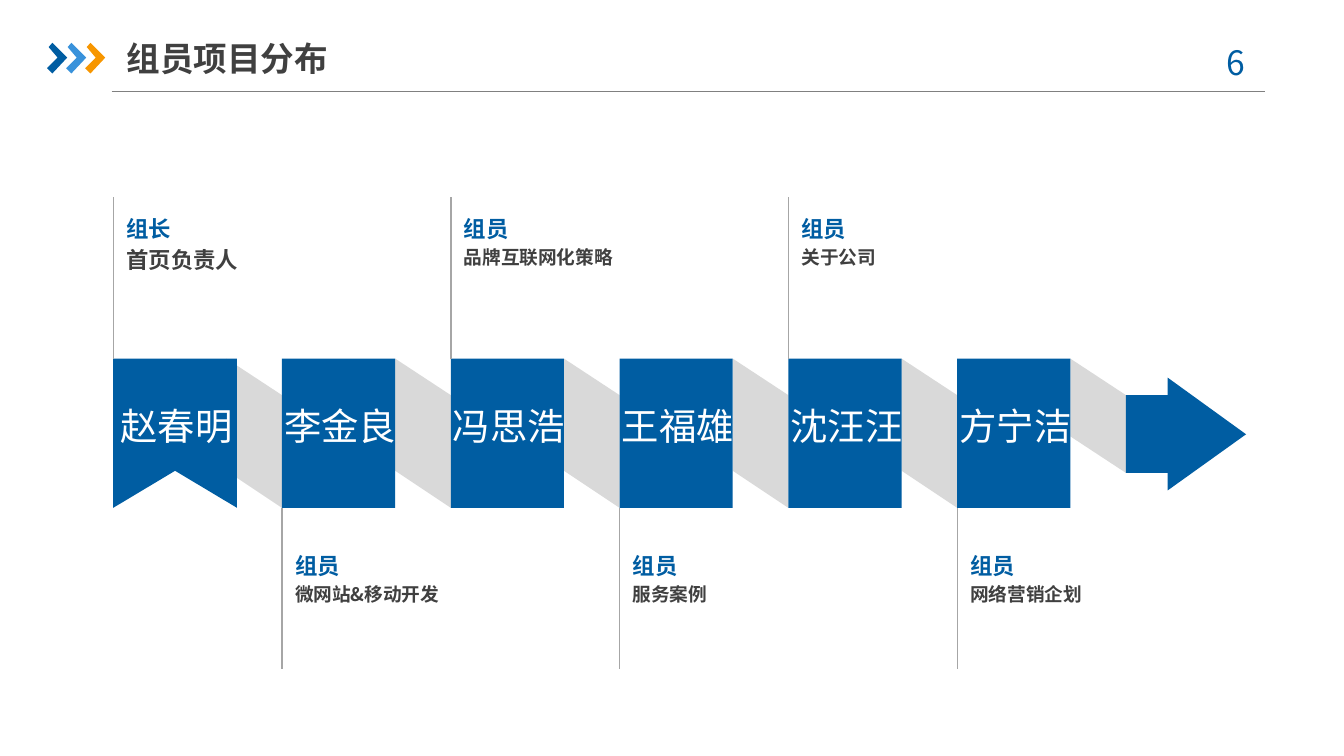
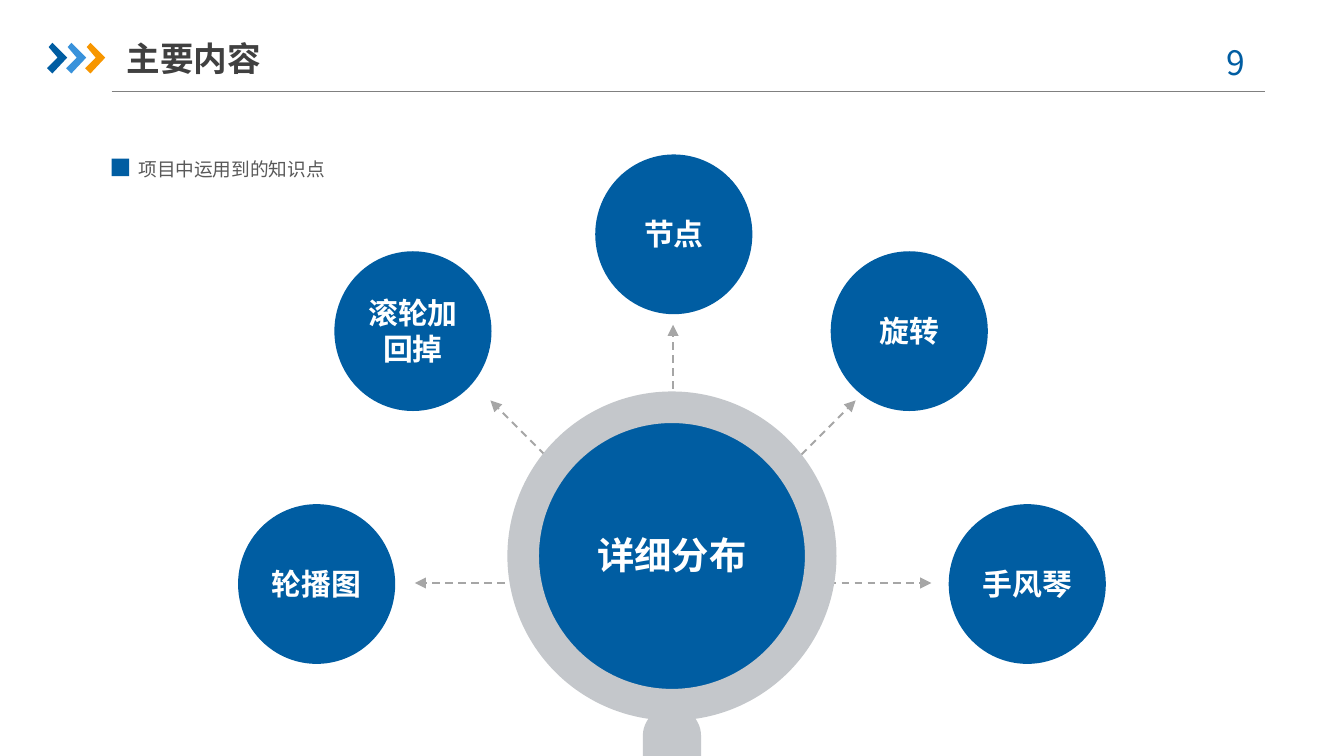
from math import cos, radians, sin

from lxml import etree
from pptx import Presentation
from pptx import util as u
from pptx.dml.color import RGBColor
from pptx.enum import dml, shapes, text
from pptx.oxml.ns import qn

Cm, Pt = u.Cm, u.Pt
SHAPE = shapes.MSO_SHAPE
ALIGN = text.PP_ALIGN
TOP, MIDDLE = text.MSO_ANCHOR.TOP, text.MSO_ANCHOR.MIDDLE

BLUE = RGBColor(0x00, 0x5D, 0xA2)
SKY = RGBColor(0x39, 0x92, 0xDB)
ORANGE = RGBColor(0xF7, 0x96, 0x00)
WHITE = RGBColor(0xFF, 0xFF, 0xFF)
INK = RGBColor(0x40, 0x40, 0x40)
BODY = RGBColor(0x59, 0x59, 0x59)
RULE = RGBColor(0x80, 0x80, 0x80)
LINE = RGBColor(0xA6, 0xA6, 0xA6)
FOLD = RGBColor(0xD9, 0xD9, 0xD9)
RING = RGBColor(0xC4, 0xC7, 0xCB)

FONT = "Noto Sans CJK SC"
TITLE = dict(size=Pt(18), bold=True, color=INK)
PAGE_NO = dict(size=Pt(18), color=BLUE)
MEMBER = dict(size=Pt(20), color=WHITE)
ROLE = dict(size=Pt(12), bold=True, color=BLUE)
TASK = dict(size=Pt(10), bold=True, color=INK)
LEAD_TASK = dict(TASK, size=Pt(12))
HUB = dict(size=Pt(20), bold=True, color=WHITE)
TOPIC = dict(size=Pt(16), bold=True, color=WHITE)
CAPTION = dict(size=Pt(10), color=BODY)

PAD = (0.25, 0.13)
CHEVRON = [(0.03, 0.08), (0.1, 0), (0.38, 0.28), (0.1, 0.58), (0, 0.48), (0.2, 0.28)]

CARD_W, CARD_H, PITCH = 2.14, 2.82, 3.19
RIBBON_W = 2.34
RIBBON = [(0, 0), (RIBBON_W, 0), (RIBBON_W, CARD_H), (RIBBON_W / 2, 2.12), (0, CARD_H)]
GAP = PITCH - CARD_W
BAND = [(0, 0), (GAP, 0.69), (GAP, CARD_H), (0, 2.12)]
LAST_BAND = [(0, 0), (GAP, 0.69), (GAP, 2.16), (0, 1.47)]
ARROW = [(0, 0.33), (0.79, 0.33), (0.79, 0), (2.27, 1.07),
         (0.79, 2.13), (0.79, 1.8), (0, 1.8)]

TEAM = [
    ("赵春明", "组长", "首页负责人", LEAD_TASK),
    ("李金良", "组员", "微网站&移动开发", TASK),
    ("冯思浩", "组员", "品牌互联网化策略", TASK),
    ("王福雄", "组员", "服务案例", TASK),
    ("沈汪汪", "组员", "关于公司", TASK),
    ("方宁洁", "组员", "网络营销企划", TASK),
]
TOPICS = [
    ("轮播图", 4.5, 9.53),
    ("滚轮加回掉", 6.32, 4.75),
    ("节点", 11.25, 2.92),
    ("旋转", 15.7, 4.75),
    ("手风琴", 17.93, 9.53),
]


def paint(sp, color):
    sp.shadow.inherit = False
    sp.fill.solid()
    sp.fill.fore_color.rgb = color
    sp.line.fill.background()
    return sp


def add_preset(s, kind, x, y, w, h, color):
    return paint(s.shapes.add_shape(kind, Cm(x), Cm(y), Cm(w), Cm(h)), color)


def add_outline(s, x, y, points, color):
    """Draw a closed polygon whose points are relative to (x, y)."""
    pts = [(Cm(x + px), Cm(y + py)) for px, py in points]
    fb = s.shapes.build_freeform(*pts[0], scale=1.0)
    fb.add_line_segments(pts[1:], close=True)
    return paint(fb.convert_to_shape(), color)


def add_text(s, x, y, w, h, lines, pad=PAD, anchor=TOP, **para):
    """Add a text box; lines holds (wording, font format) pairs."""
    sp = s.shapes.add_textbox(Cm(x), Cm(y), Cm(w), Cm(h))
    tf = sp.text_frame
    frame = dict(word_wrap=True, vertical_anchor=anchor,
                 margin_left=Cm(pad[0]), margin_right=Cm(pad[0]),
                 margin_top=Cm(pad[1]), margin_bottom=Cm(pad[1]))
    for key, value in frame.items():
        setattr(tf, key, value)
    for i, (wording, fmt) in enumerate(lines):
        p = tf.add_paragraph() if i else tf.paragraphs[0]
        for key, value in para.items():
            setattr(p, key, value)
        r = p.add_run()
        r.text = wording
        for key, value in fmt.items():
            if key == "color":
                r.font.color.rgb = value
            else:
                setattr(r.font, key, value)
        r.font.name = FONT
        etree.SubElement(r.font._element, qn("a:ea"), typeface=FONT)
    return sp


def add_line(s, x1, y1, x2, y2, color, width=0.75, arrow=False):
    c = s.shapes.add_connector(shapes.MSO_CONNECTOR.STRAIGHT,
                               Cm(x1), Cm(y1), Cm(x2), Cm(y2))
    c.line.color.rgb = color
    c.line.width = Pt(width)
    if arrow:
        c.line.dash_style = dml.MSO_LINE.DASH
        etree.SubElement(c.line._get_or_add_ln(), qn("a:tailEnd"), type="triangle")
    etree.SubElement(c._element.spPr, qn("a:effectLst"))


def add_header(s, title, number):
    add_line(s, 2.11, 1.73, 23.9, 1.73, RULE)
    for i, color in enumerate((BLUE, SKY, ORANGE)):
        add_outline(s, 0.89 + 0.36 * i, 0.81, CHEVRON, color)
    # The trailing space shifts the centred number slightly left
    add_text(s, 22.5, 0.66, 1.85, 1.02, [(f"{number} ", PAGE_NO)], alignment=ALIGN.CENTER)
    add_text(s, 2.39, 0.56, 5.92, 1.07, [(title, TITLE)], pad=(0, 0.13), anchor=MIDDLE)


def add_member(s, x, y, i, name):
    """Draw one name card; the first is a notched ribbon."""
    if i:
        add_preset(s, SHAPE.RECTANGLE, x, y, CARD_W, CARD_H, BLUE)
    else:
        add_outline(s, x, y, RIBBON, BLUE)
    card_w, text_w = (CARD_W, 2.67) if i else (RIBBON_W, 2.9)
    add_text(s, x + (card_w - text_w) / 2 + 0.03, y + 0.33, text_w, 1.88,
             [(name, MEMBER)], anchor=MIDDLE, alignment=ALIGN.CENTER, space_before=Pt(4))


def add_note(s, x, y, above, lines):
    """Hang a role note above or below the card at (x, y)."""
    line_y = y - 3.05 if above else y + CARD_H
    text_y = y - 2.84 if above else y + 3.53
    add_line(s, x, line_y, x, line_y + 3.05, LINE)
    add_text(s, x, text_y, 5.33, 2.59, lines, space_before=Pt(2.2))


def add_team(s, left, top):
    lefts = [left + PITCH * i for i in range(len(TEAM))]
    for x in reversed(lefts):
        add_outline(s, x + CARD_W, top, LAST_BAND if x == lefts[-1] else BAND, FOLD)
    add_outline(s, lefts[-1] + PITCH, top + 0.36, ARROW, BLUE)
    for i, (x, (name, role, task, fmt)) in enumerate(zip(lefts, TEAM)):
        add_member(s, x, top, i, name)
        add_note(s, x, top, i % 2 == 0, [(role, ROLE), (task, fmt)])


def add_rays(s, x, y, length):
    for angle in range(0, 181, 45):
        a = radians(angle)
        add_line(s, x, y, x + length * cos(a), y - length * sin(a), LINE, 1, arrow=True)


def add_lens(s, cx, cy):
    """Draw the magnifier centred on (cx, cy)."""
    disc, ring = 2.6, 3.11
    add_preset(s, SHAPE.OVAL, cx - disc, cy - disc, 2 * disc, 2 * disc, BLUE)
    rim = add_preset(s, SHAPE.DONUT, cx - ring, cy - ring, 2 * ring, 2 * ring, RING)
    rim.adjustments[0] = 0.096
    handle = add_preset(s, SHAPE.ROUNDED_RECTANGLE, cx - 0.55, cy + 2.85, 1.1, 2.24, RING)
    handle.adjustments[0] = 0.5
    add_text(s, cx - 2.03, cy - 0.58, 4.06, 1.12, [("详细分布", HUB)], alignment=ALIGN.CENTER)


def add_topic(s, x, y, wording):
    w, h, text_w = 2.97, 3.02, 2.46
    text_h = 1.68 if len(wording) > 3 else 0.99
    add_preset(s, SHAPE.OVAL, x, y, w, h, BLUE)
    add_text(s, x + (w - text_w) / 2, y + (h - text_h) / 2, text_w, text_h,
             [(wording, TOPIC)], pad=(0.3, 0.15), alignment=ALIGN.CENTER)


def add_caption(s, x, y, wording):
    add_text(s, x + 0.51, y - 0.05, 7.57, 0.46, [(wording, CAPTION)], pad=(0, 0),
             alignment=ALIGN.JUSTIFY, line_spacing=Pt(13))
    add_preset(s, SHAPE.RECTANGLE, x, y, 0.33, 0.33, BLUE)


def team_slide(s):
    add_header(s, "组员项目分布", 6)
    add_team(s, 2.14, 6.78)


def content_slide(s):
    add_header(s, "主要内容", 9)
    add_rays(s, 12.72, 11.02, 4.88)
    add_lens(s, 12.7, 10.51)
    for wording, x, y in TOPICS:
        add_topic(s, x, y, wording)
    add_caption(s, 2.11, 3, "项目中运用到的知识点")


def main():
    prs = Presentation()
    prs.slide_width, prs.slide_height = Cm(25.4), Cm(14.29)
    for build in (team_slide, content_slide):
        build(prs.slides.add_slide(prs.slide_layouts[6]))
    prs.save("out.pptx")


if __name__ == "__main__":
    main()
